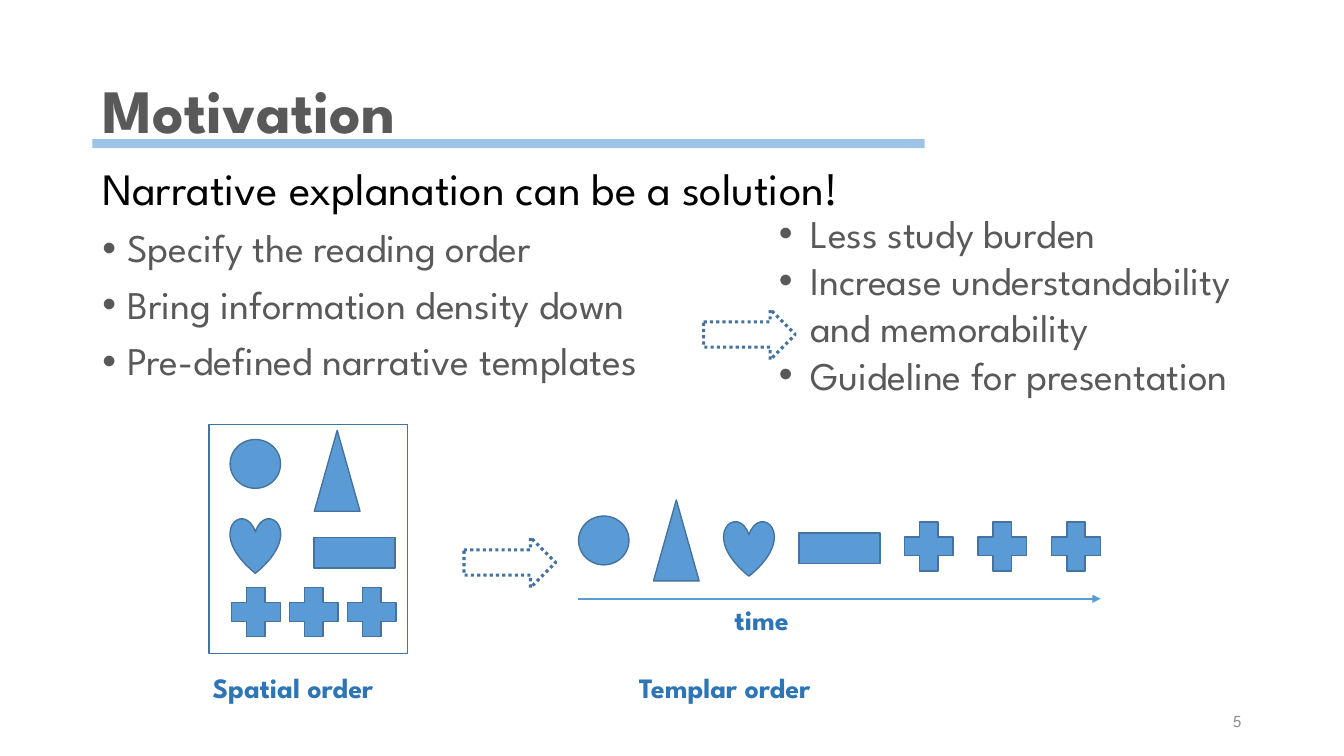
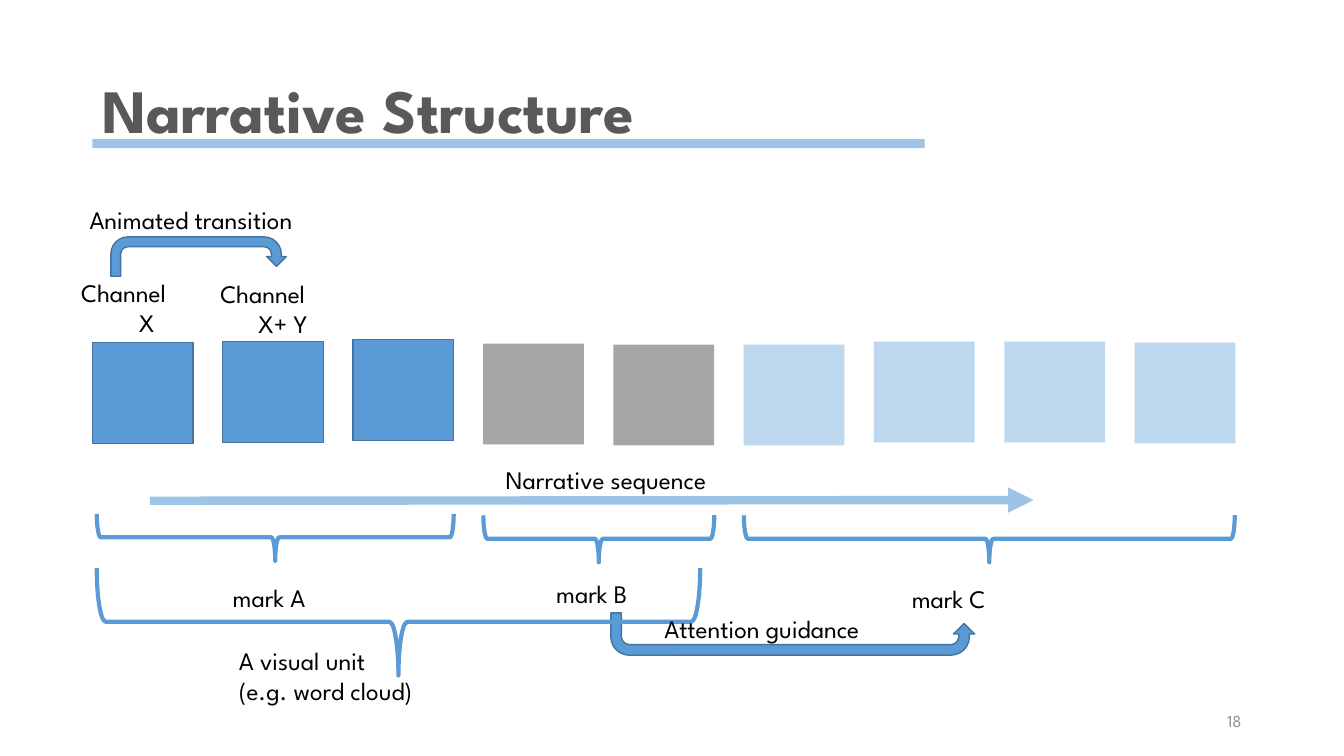
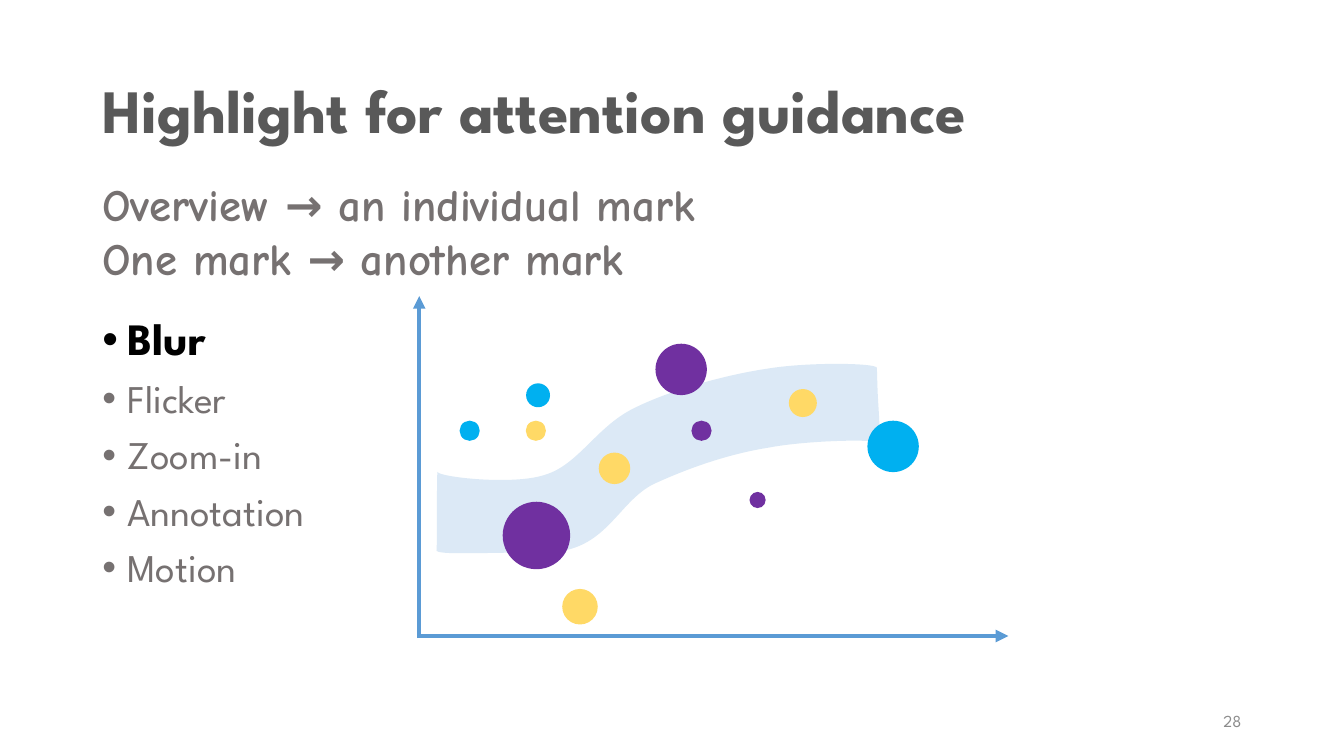
import lxml.etree
import pptx
import pptx.dml.color
import pptx.enum.dml
import pptx.enum.shapes
import pptx.enum.text
import pptx.oxml.ns
import pptx.util

Pt = pptx.util.Pt
Kind = pptx.enum.shapes.MSO_SHAPE
Align = pptx.enum.text.PP_ALIGN
Anchor = pptx.enum.text.MSO_ANCHOR
qn = pptx.oxml.ns.qn
hues = {
    "black": "000000", "title": "595959", "muted": "767171", "page": "8C8C8C",
    "blue": "5B9BD5", "edge": "43739E", "deep": "2E75B6", "band": "9DC3E6",
    "pale": "BDD7EE", "grey": "A6A6A6", "gold": "FFD966", "cyan": "00B0F0",
    "plum": "7030A0",
}
tones = {name: pptx.dml.color.RGBColor.from_string(code) for name, code in hues.items()}


def write(slide, box, rows, font="League Spartan", align=Align.LEFT,
          anchor=Anchor.TOP, pitch=None, gap=None):
    frame = slide.shapes.add_textbox(*map(Pt, box)).text_frame
    frame.word_wrap = True
    frame.vertical_anchor = anchor
    frame.text = "\n".join(row[0] for row in rows)
    for para, (words, size, tone, bold, inset) in zip(frame.paragraphs, rows):
        para.alignment = align
        para.line_spacing = pitch
        para.space_before = gap
        face = para.runs[0].font
        face.name, face.size, face.bold = font, Pt(size), bold
        face.color.rgb = tones[tone]
        if inset:
            props = para._p.get_or_add_pPr()
            props.set("marL", str(Pt(inset)))
            props.set("indent", str(-Pt(inset)))
            lxml.etree.SubElement(props, qn("a:buFont")).set("typeface", "Arial")
            lxml.etree.SubElement(props, qn("a:buChar")).set("char", "•")
    return frame


def draw(slide, kind, box, fill=None, edge=None, width=1):
    shape = slide.shapes.add_shape(kind, *map(Pt, box))
    shape.shadow.inherit = False
    if fill:
        shape.fill.solid()
        shape.fill.fore_color.rgb = tones[fill]
    else:
        shape.fill.background()
    if edge:
        shape.line.color.rgb = tones[edge]
        shape.line.width = Pt(width)
    else:
        shape.line.fill.background()
    return shape


deck = pptx.Presentation()
deck.slide_width, deck.slide_height = Pt(960), Pt(540)
heads = [("Motivation", 5, True), ("Narrative Structure", 18, True),
         ("Highlight for attention guidance", 28, False)]
for title, page, ruled in heads:
    slide = deck.slides.add_slide(deck.slide_layouts[6])
    write(slide, (66, 29.2, 828, 104), [(title, 44, "title", True, 0)],
          anchor=Anchor.MIDDLE, pitch=0.9)
    write(slide, (678, 500.4, 216, 28.8), [(str(page), 12, "page", False, 0)],
          align=Align.RIGHT, anchor=Anchor.MIDDLE)
    if ruled:
        draw(slide, Kind.RECTANGLE, (66, 99.4, 594.6, 6.5), "band")
why, plan, focus = deck.slides

goals = ["Specify the reading order", "Bring information density down",
         "Pre-defined narrative templates"]
write(why, (66, 115.5, 828, 343),
      [("Narrative explanation can be a solution!", 32, "black", False, 0)]
      + [(goal, 28, "title", False, 18) for goal in goals],
      pitch=0.9, gap=Pt(10))
gains = ["Less study burden", "Increase understandability and memorability",
         "Guideline for presentation"]
write(why, (549.2, 146.2, 368.6, 143.3),
      [(gain, 28, "title", False, 22.5) for gain in gains])

for left, top in [(502.6, 221), (331.4, 383.8)]:
    arrow = draw(why, Kind.RIGHT_ARROW, (left, top, 65.5, 36), None, "edge", 2.25)
    arrow.line.dash_style = pptx.enum.dml.MSO_LINE.ROUND_DOT
draw(why, Kind.RECTANGLE, (149.2, 303.1, 141.8, 163.6), None, "edge")

icons = [
    (Kind.OVAL, 36, 34.9, (164.4, 313.9), (413.3, 368.6)),
    (Kind.ISOSCELES_TRIANGLE, 32.6, 57.8, (224.6, 307.4), (466.8, 357.1)),
    (Kind.HEART, 36, 39.4, (164.4, 370.1), (517, 372.2)),
    (Kind.RECTANGLE, 57.8, 21.8, (224.4, 383.8), (570.8, 380.7)),
]
for step in range(3):
    icons.append((Kind.CROSS, 34.8, 35.1, (165.4 + 41.4 * step, 419.6),
                  (646 + 52.6 * step, 372.8)))
for kind, wide, high, *spots in icons:
    for left, top in spots:
        icon = draw(why, kind, (left, top, wide, high), "blue", "edge")
        if kind == Kind.CROSS:
            icon.adjustments[0] = 0.312
for words, left, top, wide in [("time", 517.7, 426.5, 80),
                               ("Spatial order", 144.7, 475.2, 170),
                               ("Templar order", 449.3, 475.2, 180)]:
    write(why, (left, top, wide, 31.7), [(words, 20, "deep", True, 0)])

turn = draw(plan, Kind.U_TURN_ARROW, (436.3, 437.8, 259.9, 30.2), "blue", "edge")
turn._element.spPr.xfrm.set("flipV", "1")
draw(plan, Kind.U_TURN_ARROW, (79.2, 169.2, 125.3, 28.1), "blue", "edge")
fills = ["blue"] * 3 + ["grey"] * 2 + ["pale"] * 4
tops = [244.8, 244, 242.7, 245.5, 246.2, 246.2, 244, 244, 244.8]
for step, (fill, top) in enumerate(zip(fills, tops)):
    draw(plan, Kind.RECTANGLE, (66 + 93.05 * step, top, 72, 72), fill,
         "edge" if fill == "blue" else None)
for left, top, wide, deep in [(69.2, 367, 254.9, 33.6), (345.3, 368, 164.9, 33.6),
                              (531.4, 368, 350.6, 33.6), (69.1, 405.8, 431, 76.7)]:
    shift = (wide - deep) / 2
    brace = draw(plan, Kind.LEFT_BRACE, (left + shift, top - shift, deep, wide),
                 None, "blue", 3)
    brace.rotation = 270
notes = [
    ("mark A", 159.1, 412.6, 90), ("mark B", 390.2, 409.3, 95.8),
    ("mark C", 644.2, 413.3, 105.8), ("Channel\n X", 50.9, 194.4, 103.7),
    ("Channel\nX+ Y", 150.3, 195.1, 103.7), ("Narrative sequence", 354.2, 328.3, 200),
    ("Attention guidance", 467.5, 434.9, 200), ("Animated transition", 56.9, 142.6, 200),
    ("A visual unit\n(e.g. word cloud)", 163.6, 457.2, 170.6),
]
for words, left, top, wide in notes:
    lines = words.split("\n")
    frame = write(plan, (left, top, wide, 7.2 + 21.6 * len(lines)),
                  [(line, 18, "black", False, 0) for line in lines])
    if lines[0] == "Channel":
        frame.paragraphs[1].alignment = Align.CENTER

start = (312.5, 337)
bends = [
    (312.5, 340.6), (366.5, 347), (389.5, 339.1),
    (413.3, 331.9), (426.2, 304.6), (452.9, 291.6),
    (478.8, 278.6), (518.4, 267.8), (547.2, 263.5),
    (576, 258.5), (626.4, 259.2), (626.4, 262.8),
    (627.1, 293.8), (627.8, 285.8), (628.6, 316.8),
    (628.6, 313.2), (576, 314.6), (549.4, 319.7),
    (522, 324), (493.9, 333.4), (467.3, 345.6),
    (440.6, 358.6), (433.4, 394.6), (389.5, 394.6),
    (346.3, 394.6), (311.8, 396.7), (311.8, 393.1),
    (312.5, 386.6), (311.8, 343.4), start,
]
pen = focus.shapes.build_freeform(100 * start[0], 100 * start[1], scale=Pt(1) / 100)
pen.add_line_segments([(100 * x, 100 * y) for x, y in bends], close=True)
trend = pen.convert_to_shape()
trend.shadow.inherit = False
trend.line.fill.background()
trend.fill.solid()
trend.fill.fore_color.rgb = tones["blue"]
tint = trend._element.spPr.find(".//" + qn("a:srgbClr"))
lxml.etree.SubElement(tint, qn("a:alpha")).set("val", "21000")
route = trend._element.spPr.find(".//" + qn("a:path"))
legs = route.findall(qn("a:lnTo"))
for first in range(0, len(bends), 3):
    curve = lxml.etree.Element(qn("a:cubicBezTo"))
    legs[first].addprevious(curve)
    for leg in legs[first:first + 3]:
        curve.append(leg[0])
        route.remove(leg)

write(focus, (66, 122.9, 528.5, 85),
      [(line, 32, "muted", True, 0)
       for line in ["Overview → an individual mark", "One mark → another mark"]],
      font="Comic Neue")
write(focus, (66, 223, 828, 263.5),
      [("Blur", 32, "black", True, 18)]
      + [(way, 28, "muted", False, 18)
         for way in ["Flicker", "Zoom-in", "Annotation", "Motion"]],
      pitch=0.9, gap=Pt(10))
marks = {
    "gold": [(375.6, 300.5, 14.4), (401.6, 420.7, 25.4), (427.7, 323.3, 22.5),
             (563.5, 277.9, 20)],
    "cyan": [(375.8, 273.8, 17.1), (328.3, 300.5, 14.4), (619.6, 300.5, 36.7)],
    "plum": [(359.1, 358.4, 48.2), (468.2, 245.5, 36.7), (493.9, 300.5, 14.4),
             (535.4, 351.4, 11.5)],
}
for fill, spots in marks.items():
    for left, top, size in spots:
        draw(focus, Kind.OVAL, (left, top, size, size), fill)

for slide, ends, tone, width in [
    (why, (413.1, 427.7, 786.2, 427.7), "blue", 1.5),
    (plan, (107.1, 357.7, 738.2, 357.2), "band", 6),
    (focus, (299.5, 455.8, 299.5, 211.5), "blue", 3),
    (focus, (300.2, 454.3, 720.2, 454.3), "blue", 3),
]:
    line = slide.shapes.add_connector(
        pptx.enum.shapes.MSO_CONNECTOR.STRAIGHT, *map(Pt, ends))
    line.line.color.rgb = tones[tone]
    line.line.width = Pt(width)
    props = line._element.spPr
    lxml.etree.SubElement(props.find(qn("a:ln")), qn("a:tailEnd")).set("type", "triangle")
    lxml.etree.SubElement(props, qn("a:effectLst"))

deck.save("out.pptx")
